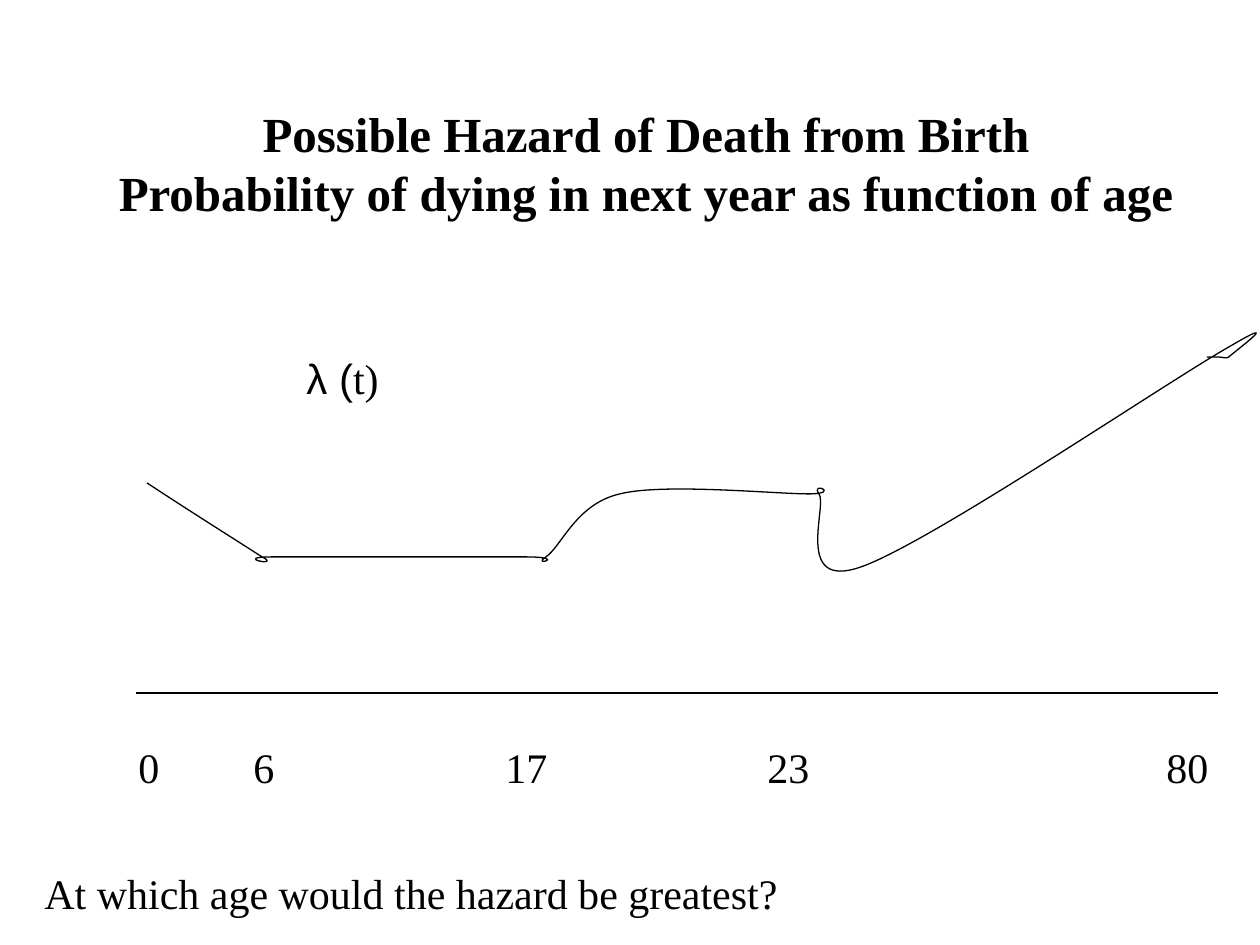
from lxml import etree
from pptx import Presentation, util as u
from pptx.dml.color import RGBColor
from pptx.enum import shapes, text
from pptx.oxml.ns import qn

PX = 914400 / 126
COLORS = {"ink": "000000", "paper": "FFFFFF"}
SERIF, SANS = "Times New Roman", "Arial"

CURVE_START = (147, 483)
# Each segment: two control points and an end point.
CURVE = [
    ((194, 514), (242, 544), (262, 557)),
    ((284, 568), (229, 557), (273, 557)),
    ((316, 557), (480, 557), (525, 557)),
    ((571, 557), (530, 567), (546, 557)),
    ((562, 546), (576, 504), (620, 494)),
    ((663, 483), (775, 494), (809, 494)),
    ((842, 494), (810, 481), (819, 494)),
    ((828, 505), (793, 591), (861, 567)),
    ((930, 543), (1167, 382), (1229, 347)),
    ((1290, 311), (1230, 355), (1229, 357)),
    ((1227, 359), (1221, 357), (1218, 357)),
    ((1215, 357), (1211, 357), (1207, 357)),
]
AGES = ["0", "6", "17", "23", "80"]
AGE_STOPS = [115, 367, 629, 1028]


def px(*values):
    return [round(v * PX) for v in values]


def color(name):
    return RGBColor.from_string(COLORS[name])


def add_run(p, words, size=24, font=SERIF, bold=False):
    r = p.add_run()
    r.text = words
    r.font.size, r.font.name, r.font.bold = u.Pt(size), font, bold
    r.font.color.rgb = color("ink")


def thin_line(sp):
    sp.line.color.rgb = color("ink")
    sp.line.width = u.Pt(0.75)


def add_title(s, lines):
    sp = s.shapes.title
    sp.left, sp.top, sp.width, sp.height = px(95, 84, 1102, 157)
    tf = sp.text_frame
    tf.vertical_anchor = text.MSO_ANCHOR.MIDDLE
    p = tf.paragraphs[0]
    p.alignment = text.PP_ALIGN.CENTER
    for i, line in enumerate(lines):
        if i:
            p.add_line_break()
        add_run(p, line, 28, bold=True)


def add_label(s, box, runs):
    """Add a one-line text box from (words, font) runs and return its paragraph."""
    tf = s.shapes.add_textbox(*px(*box)).text_frame
    tf.word_wrap = True
    tf.auto_size = text.MSO_AUTO_SIZE.SHAPE_TO_FIT_TEXT
    p = tf.paragraphs[0]
    p.space_before = u.Pt(15)
    for words, font in runs:
        add_run(p, words, font=font)
    return p


def set_tab_stops(p, stops):
    tabs = etree.SubElement(p._p.get_or_add_pPr(), qn("a:tabLst"))
    for pos in px(*stops):
        etree.SubElement(tabs, qn("a:tab"), pos=str(pos), algn="l")


def add_curve(s, start, segments):
    """Lay out all curve points as lines, then join each three into a Bezier."""
    builder = s.shapes.build_freeform(*px(*start))
    builder.add_line_segments([px(*pt) for seg in segments for pt in seg], close=False)
    sp = builder.convert_to_shape()
    outline = next(sp._element.iter(qn("a:path")))
    lines = outline.findall(qn("a:lnTo"))
    for i in range(0, len(lines), 3):
        bezier = etree.SubElement(outline, qn("a:cubicBezTo"))
        for line in lines[i:i + 3]:
            bezier.append(line[0])
            outline.remove(line)
    sp.shadow.inherit = False
    sp.fill.background()
    thin_line(sp)


def add_axis(s, x1, x2, y):
    line = s.shapes.add_connector(shapes.MSO_CONNECTOR.STRAIGHT, *px(x1, y, x2, y))
    thin_line(line)
    etree.SubElement(line._element.spPr, qn("a:effectLst"))


def main():
    prs = Presentation()
    prs.slide_width, prs.slide_height = px(1260, 945)
    s = prs.slides.add_slide(prs.slide_layouts[5])
    s.background.fill.solid()
    s.background.fill.fore_color.rgb = color("paper")

    add_title(s, ["Possible Hazard of Death from Birth",
                  "Probability of dying in next year as function of age"])
    add_curve(s, CURVE_START, CURVE)
    add_axis(s, 136, 1218, 693)
    ages = add_label(s, (126, 735, 1102, 63), [("\t".join(AGES), SERIF)])
    set_tab_stops(ages, AGE_STOPS)
    add_label(s, (294, 346, 273, 63), [("λ (", SANS), ("t)", SERIF)])
    add_label(s, (32, 861, 809, 63),
              [("At which age would the hazard be greatest?", SERIF)])
    prs.save("out.pptx")


if __name__ == "__main__":
    main()
